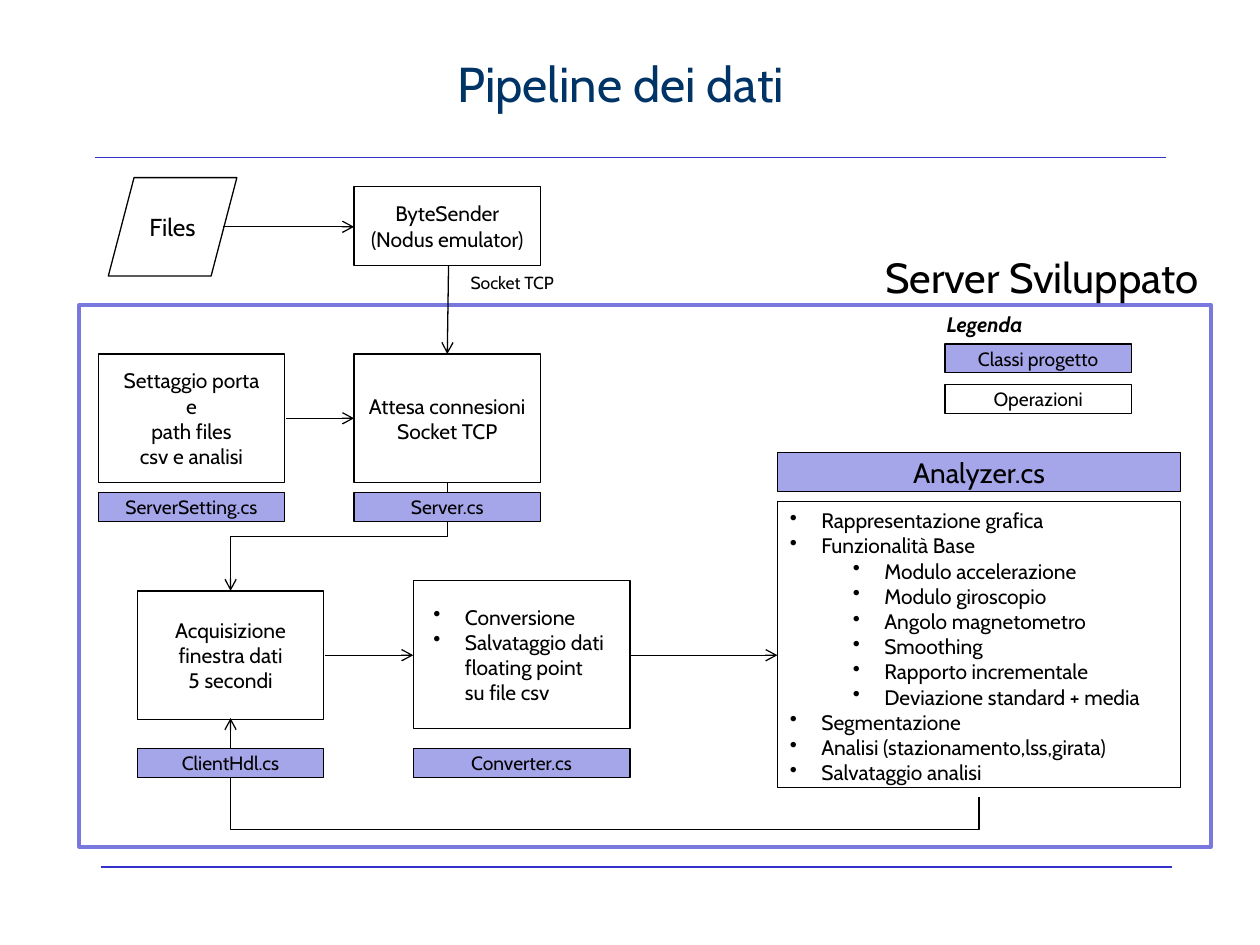
from lxml import etree
from pptx import Presentation
from pptx.dml.color import RGBColor
from pptx.enum.shapes import MSO_CONNECTOR, MSO_SHAPE
from pptx.enum.text import MSO_ANCHOR, PP_ALIGN
from pptx.oxml.ns import qn
from pptx.util import Inches, Pt

STRAIGHT, ELBOW = MSO_CONNECTOR.STRAIGHT, MSO_CONNECTOR.ELBOW
PROCESS, DATA, RECTANGLE = (MSO_SHAPE.FLOWCHART_PROCESS, MSO_SHAPE.FLOWCHART_DATA,
                            MSO_SHAPE.RECTANGLE)
TOP, MIDDLE = MSO_ANCHOR.TOP, MSO_ANCHOR.MIDDLE
LEFT, CENTER, RIGHT = PP_ALIGN.LEFT, PP_ALIGN.CENTER, PP_ALIGN.RIGHT

COLORS = {"rule": "3333CC", "frame": "7878DE", "class": "A5A5E9",
          "title": "003366", "ink": "000000", "paper": "FFFFFF"}
FONT = "Cabin"
WIDTH, WIDE, TALL, TAG = 1.48, 1.72, 1.02, 0.23
SETTING_X, SERVER_X, CLIENT_X, CONVERTER_X, ANALYZER_X = 0.78, 2.81, 1.09, 3.28, 6.17
ANALYZER_WIDTH = 3.2

OPERATIONS = [
    (SERVER_X, 1.48, WIDTH, 0.63, ["ByteSender", "(Nodus emulator)"]),
    (SETTING_X, 2.81, WIDTH, TALL, ["Settaggio porta", "e", "path files", "csv e analisi"]),
    (SERVER_X, 2.81, WIDTH, TALL, ["Attesa connesioni", "Socket TCP"]),
    (CLIENT_X, 4.69, WIDTH, TALL, ["Acquisizione", "finestra dati", "5 secondi"]),
]
CONVERSION = [("Conversione", 0), ("Salvataggio dati\vfloating point\vsu file csv", 0)]
ANALYSIS = [
    ("Rappresentazione grafica", 0),
    ("Funzionalità Base", 0),
    ("Modulo accelerazione", 1),
    ("Modulo giroscopio", 1),
    ("Angolo magnetometro", 1),
    ("Smoothing", 1),
    ("Rapporto incrementale", 1),
    ("Deviazione standard + media", 1),
    ("Segmentazione", 0),
    ("Analisi (stazionamento,lss,girata)", 0),
    ("Salvataggio analisi", 0),
]
ARROWS = [
    (1.77, 1.8, SERVER_X, 1.8),
    (2.27, 3.32, SERVER_X, 3.32),
    (3.56, 2.11, 3.55, 2.81),
    (2.58, 5.2, CONVERTER_X, 5.2),
    (5, 5.2, ANALYZER_X, 5.2),
]
CLASSES = [
    (SETTING_X, 3.91, WIDTH, TAG, "ServerSetting.cs", 11),
    (SERVER_X, 3.91, WIDTH, TAG, "Server.cs", 11),
    (CLIENT_X, 5.94, WIDTH, TAG, "ClientHdl.cs", 11),
    (CONVERTER_X, 5.94, WIDE, TAG, "Converter.cs", 11),
    (ANALYZER_X, 3.59, ANALYZER_WIDTH, 0.31, "Analyzer.cs", 16),
    (7.5, 2.73, WIDTH, TAG, "Classi progetto", 11),
]


def rgb(name):
    return RGBColor.from_string(COLORS[name])


class PipelineSlide:
    def __init__(self, page):
        self.page = page

    def style(self, para, size, align, color="ink", strong=False):
        para.alignment = align
        font = para.font
        font.name, font.size = FONT, Pt(size)
        font.color.rgb = rgb(color)
        if strong:
            font.bold = font.italic = True

    def box(self, kind, x, y, width, height, fill="paper", line="ink", weight=0.75):
        shape = self.page.shapes.add_shape(kind, *map(Inches, (x, y, width, height)))
        shape.shadow.inherit = False
        shape.fill.solid()
        shape.fill.fore_color.rgb = rgb(fill)
        shape.line.color.rgb = rgb(line)
        shape.line.width = Pt(weight)
        return shape

    def node(self, kind, x, y, width, height, lines, size=12, fill="paper"):
        frame = self.box(kind, x, y, width, height, fill).text_frame
        frame.word_wrap = False
        frame.vertical_anchor = MIDDLE
        frame.text = "\n".join(lines)
        for para in frame.paragraphs:
            self.style(para, size, CENTER)

    def bullets(self, x, y, width, height, items, anchor, inset):
        frame = self.box(PROCESS, x, y, width, height).text_frame
        frame.word_wrap = True
        frame.vertical_anchor = anchor
        frame.margin_left, frame.margin_right = Inches(inset), 0
        frame.text = "\n".join(text for text, level in items)
        for para, (text, level) in zip(frame.paragraphs, items):
            para.level = level
            properties = para._p.get_or_add_pPr()
            properties.set("marL", str(Inches(0.25 + 0.5 * level)))
            properties.set("indent", str(Inches(-0.25)))
            etree.SubElement(properties, qn("a:buChar")).set("char", "•")
            self.style(para, 12, LEFT)

    def label(self, x, y, width, height, text, size, align=CENTER, anchor=TOP,
              color="ink", strong=False):
        frame = self.page.shapes.add_textbox(*map(Inches, (x, y, width, height))).text_frame
        frame.word_wrap = True
        frame.vertical_anchor = anchor
        frame.text = text
        self.style(frame.paragraphs[0], size, align, color, strong)

    def line(self, x1, y1, x2, y2, color="ink", arrow=True, kind=STRAIGHT):
        connector = self.page.shapes.add_connector(kind, *map(Inches, (x1, y1, x2, y2)))
        connector.line.color.rgb = rgb(color)
        connector.line.width = Pt(0.75)
        if arrow:
            outline = connector.line._get_or_add_ln()
            etree.SubElement(outline, qn("a:tailEnd")).set("type", "arrow")
        etree.SubElement(connector._element.spPr, qn("a:effectLst"))
        return connector

    def elbow(self, x1, y1, x2, y2, bend):
        across, down = abs(x2 - x1), abs(y2 - y1)
        left, top = (x1 + x2 - down) / 2, (y1 + y2 - across) / 2
        connector = self.line(left, top, left + down, top + across, kind=ELBOW)
        upward = y2 < y1
        properties = connector._element.spPr
        transform = properties.find(qn("a:xfrm"))
        transform.set("rot", str((270 if upward else 90) * 60000))
        if upward:
            transform.set("flipV", "1")
        guide = etree.SubElement(properties.find(qn("a:prstGeom")).find(qn("a:avLst")), qn("a:gd"))
        guide.set("name", "adj1")
        guide.set("fmla", f"val {round(bend * 100000)}")


def main():
    deck = Presentation()
    deck.slide_width, deck.slide_height = Inches(10), Inches(7.5)
    slide = PipelineSlide(deck.slides.add_slide(deck.slide_layouts[6]))

    for x, y in ((0.75, 1.25), (0.8, 6.88)):
        slide.line(x, y, x + 8.5, y, "rule", arrow=False)
    slide.box(PROCESS, 0.63, 2.42, 8.98, 4.3, line="frame", weight=2.25)
    slide.label(1.8, 0.2, 6.25, 0.92, "Pipeline dei dati", 28, anchor=MIDDLE, color="title")

    slide.node(DATA, 0.86, 1.41, 1.02, 0.78, ["Files"], 14)
    for x, y, width, height, lines in OPERATIONS:
        slide.node(PROCESS, x, y, width, height, lines)
    slide.bullets(CONVERTER_X, 4.61, WIDE, 1.17, CONVERSION, MIDDLE, 0.16)
    slide.bullets(ANALYZER_X, 3.98, ANALYZER_WIDTH, 2.27, ANALYSIS, TOP, 0.1)

    for ends in ARROWS:
        slide.line(*ends)
    slide.elbow(3.55, 3.83, 1.83, 4.69, 0.5)
    slide.elbow(7.77, 6.33, 1.83, 5.7, -0.4)

    for x, y, width, height, name, size in CLASSES:
        slide.node(RECTANGLE, x, y, width, height, [name], size, "class")
    slide.node(PROCESS, 7.5, 3.05, WIDTH, TAG, ["Operazioni"], 11)

    slide.label(3.52, 2.11, 1.09, 0.27, "Socket TCP", 10)
    slide.label(5.78, 1.95, 3.83, 0.5, "Server Sviluppato", 24, RIGHT)
    slide.label(7.27, 2.42, 1.09, 0.3, "Legenda", 12, strong=True)
    deck.save("out.pptx")


if __name__ == "__main__":
    main()
